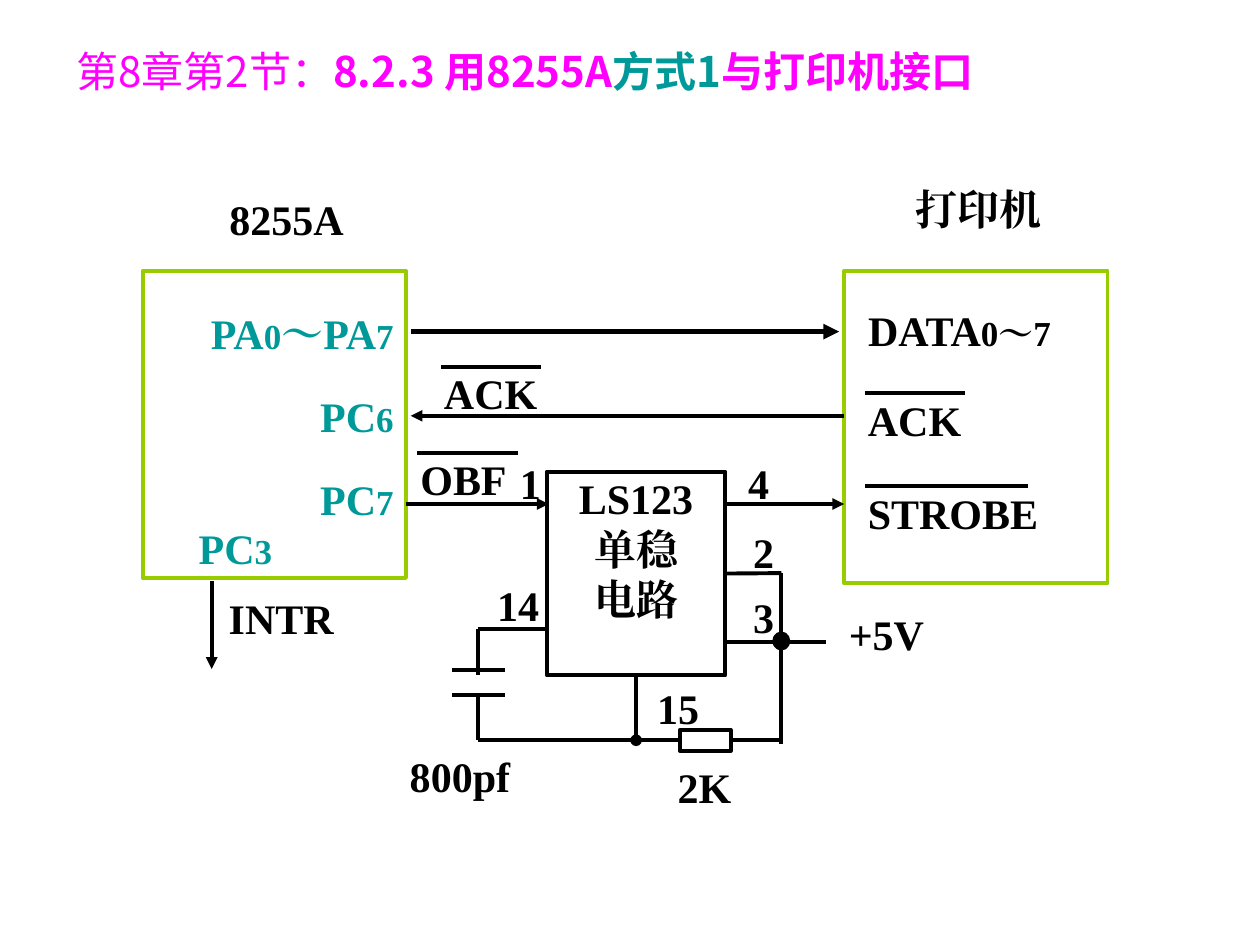
from dataclasses import dataclass
from lxml import etree
from pptx import Presentation
from pptx.dml.color import RGBColor
from pptx.enum.shapes import MSO_CONNECTOR, MSO_SHAPE
from pptx.enum.text import MSO_ANCHOR, PP_ALIGN
from pptx.oxml.ns import qn
from pptx.util import Pt

LINE = MSO_CONNECTOR.STRAIGHT
RECT, OVAL = MSO_SHAPE.RECTANGLE, MSO_SHAPE.OVAL
TOP, MIDDLE = MSO_ANCHOR.TOP, MSO_ANCHOR.MIDDLE
LEFT, CENTER, RIGHT = PP_ALIGN.LEFT, PP_ALIGN.CENTER, PP_ALIGN.RIGHT
JUST = PP_ALIGN.JUSTIFY


@dataclass(frozen=True)
class Theme:
    black: str = "000000"
    teal: str = "009999"
    pink: str = "FF00FF"
    lime: str = "99CC00"
    serif: str = "Times New Roman"
    light: str = "Noto Sans CJK JP"
    heavy: str = "Noto Sans CJK SC"
    size: int = 24
    small: int = 20
    line: float = 2.25
    thick: float = 3


class Board:
    def __init__(self, slide, theme):
        self.slide = slide
        self.theme = theme

    def style(self, run, color, size=None, font=None, bold=True):
        run.font.name = font or self.theme.serif
        run.font.size = Pt(size or self.theme.size)
        run.font.bold = bold
        run.font.color.rgb = RGBColor.from_string(color)
        east = etree.Element(qn("a:ea"), typeface=run.font.name)
        run.font._element.find(qn("a:latin")).addnext(east)

    def frame(self, shape, inset=0.72, anchor=TOP):
        frame = shape.text_frame
        frame.word_wrap = True
        frame.vertical_anchor = anchor
        if inset is not None:
            frame.margin_left = frame.margin_right = Pt(inset)
            frame.margin_top = frame.margin_bottom = Pt(inset)
        return frame

    def title(self, x, y, w, h, parts):
        box = self.slide.shapes.add_textbox(Pt(x), Pt(y), Pt(w), Pt(h))
        para = self.frame(box, None, MIDDLE).paragraphs[0]
        para.alignment = JUST
        for text, color, font, bold in parts:
            run = para.add_run()
            run.text = text
            self.style(run, color, font=font, bold=bold)

    def label(self, text, x, y, w, h=45, align=CENTER, color=None):
        box = self.slide.shapes.add_textbox(Pt(x), Pt(y), Pt(w), Pt(h))
        para = self.frame(box).paragraphs[0]
        para.alignment = align
        sizes = (self.theme.size, self.theme.small)
        for i, part in enumerate(text.split("|")):
            run = para.add_run()
            run.text = part
            self.style(run, color or self.theme.black, sizes[i % 2])

    def signal(self, text, x, y, w):
        self.label(text, x + 1, y, 104, align=LEFT)
        self.wire(x, y, x + w, y)

    def shape(self, kind, x, y, w, h, color=None, fill=None, text=""):
        color = color or self.theme.black
        item = self.slide.shapes.add_shape(kind, Pt(x), Pt(y), Pt(w), Pt(h))
        item.shadow.inherit = False
        item.line.color.rgb = RGBColor.from_string(color)
        item.line.width = Pt(self.theme.line)
        if fill:
            item.fill.solid()
            item.fill.fore_color.rgb = RGBColor.from_string(fill)
        else:
            item.fill.background()
        if text:
            frame = self.frame(item)
            frame.text = text
            for para in frame.paragraphs:
                para.alignment = CENTER
                for run in para.runs:
                    self.style(run, self.theme.black)
        return item

    def wire(self, x1, y1, x2, y2, tip=None, width=None, start=None, end=None):
        item = self.slide.shapes.add_connector(LINE, Pt(x1), Pt(y1), Pt(x2), Pt(y2))
        if start:
            item.begin_connect(*start)
        if end:
            item.end_connect(*end)
        item.line.color.rgb = RGBColor.from_string(self.theme.black)
        item.line.width = Pt(width or self.theme.line)
        if tip:
            etree.SubElement(item.line._get_or_add_ln(), qn("a:tailEnd"), type=tip)
        etree.SubElement(item._element.spPr, qn("a:effectLst"))


def main():
    deck = Presentation()
    deck.slide_width, deck.slide_height = Pt(720), Pt(540)
    theme = Theme()
    board = Board(deck.slides.add_slide(deck.slide_layouts[6]), theme)

    board.title(36.7, 20.4, 648, 39.6, [
        ("第8章第2节：", theme.pink, theme.light, False),
        ("8.2.3 用8255A", theme.pink, theme.heavy, True),
        ("方式1", theme.teal, theme.heavy, True),
        ("与打印机接口", theme.pink, theme.heavy, True),
    ])

    for text, x, y in [("15", 346.5, 389.5), ("3", 395.3, 337.5), ("2", 395.3, 300),
                       ("14", 255, 330.5), ("4", 392.5, 260.6), ("1", 262, 260.6)]:
        board.label(text, x, y, 82, 27)
    for text, x, y, w in [("800pf", 221.8, 428.4, 82), ("2K", 361.5, 434.2, 82),
                          ("+5V", 469.5, 347, 74), ("8255A", 100, 110, 127.5),
                          ("打印机", 488, 104.4, 142.5)]:
        board.label(text, x, y, w)
    board.label("DATA|0～7", 495.4, 173.5, 160.5, align=LEFT)
    board.label("INTR", 130, 337.7, 104, align=LEFT)
    for text, right, y in [("PA|0|～PA|7", 225.7, 175), ("PC|6", 225.7, 222.5),
                           ("PC|7", 225.7, 270), ("PC|3", 156.2, 298)]:
        board.label(text, right - 136, y, 136, align=RIGHT, color=theme.teal)

    board.shape(RECT, 81.5, 154.8, 150.5, 175.5, theme.lime)
    board.shape(RECT, 482.4, 154.8, 150.5, 178.5, theme.lime)
    timer = board.shape(RECT, 312.5, 269.5, 102, 116.5, text="LS123\n单稳\n电路")
    load = board.shape(RECT, 388.5, 417, 29, 12)
    board.shape(OVAL, 442.5, 362, 8, 8.6, fill=theme.black)

    board.wire(234.7, 189.5, 479.5, 189.5, "triangle", theme.thick)
    board.wire(482.4, 237.6, 234.7, 237.6, "triangle")
    board.wire(232, 288, 313.5, 288, "triangle")
    board.wire(414.5, 288, 482.4, 288, "triangle")
    board.wire(121, 332, 121, 382.3, "triangle")

    board.wire(446.5, 327.5, 414.5, 327.5, end=(timer, 3))
    board.wire(446.5, 327.5, 446.5, 425)
    board.wire(414.5, 367, 472, 367)
    board.wire(446.5, 423, 417.5, 423, end=(load, 3))
    board.wire(388.5, 423, 273, 423, start=(load, 1))
    board.wire(363.5, 386, 363.5, 423, "oval", start=(timer, 2))

    board.wire(273, 359.3, 312.5, 359.3)
    board.wire(273, 359.3, 273, 386)
    for y in (382.7, 397.3):
        board.wire(258.3, y, 288.6, y)
    board.wire(273, 423, 273, 397)

    for text, x, y, w in [("ACK", 494.2, 224.7, 57.3), ("ACK", 252, 209.5, 57.3),
                          ("OBF", 238.5, 258.7, 57.3), ("STROBE", 494.2, 277.7, 93.5)]:
        board.signal(text, x, y, w)

    deck.save("out.pptx")


if __name__ == "__main__":
    main()
